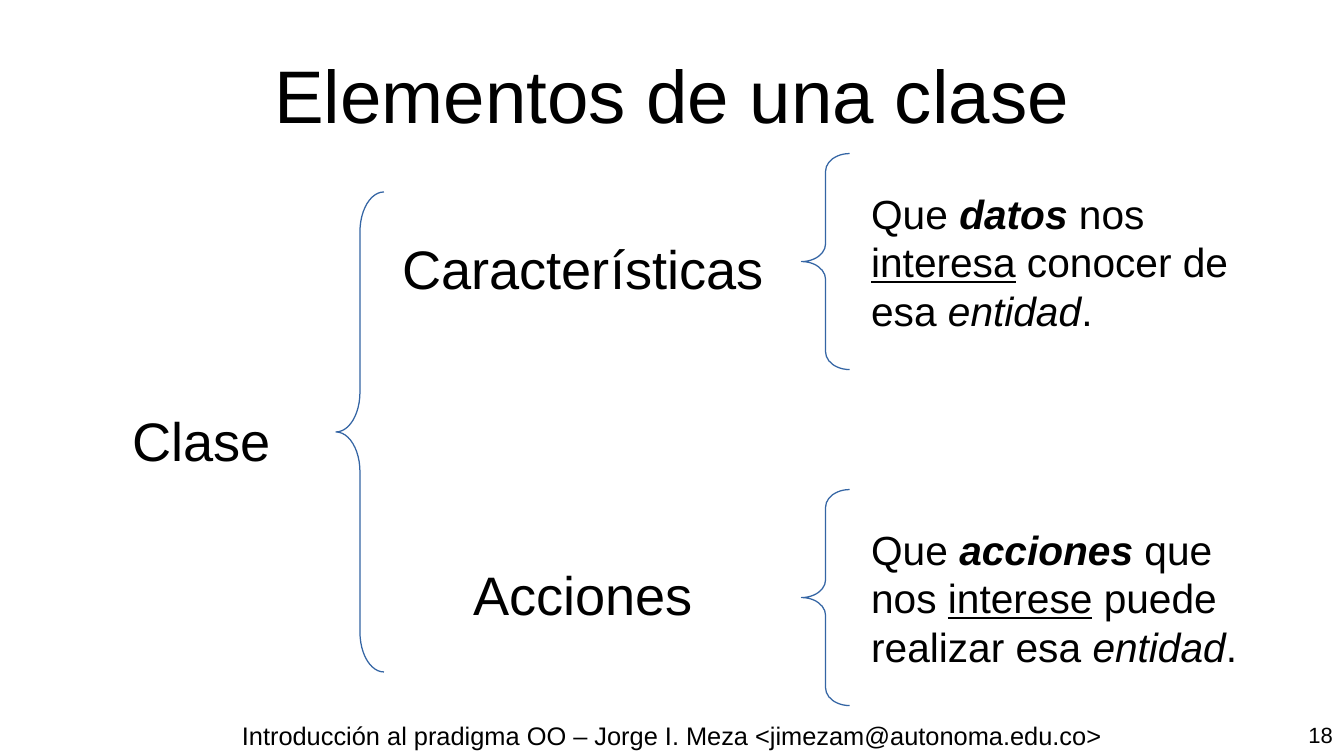
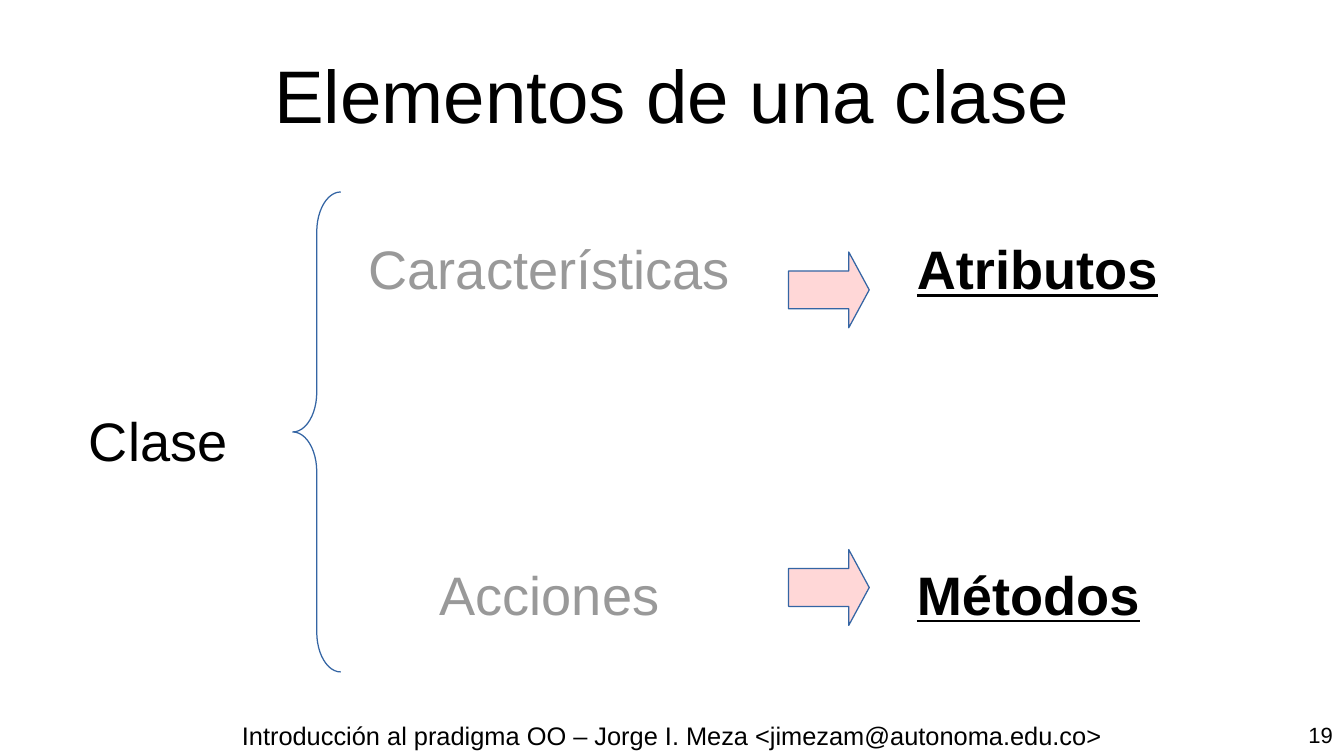
import pptx
import pptx.util
import pptx.dml.color
import pptx.enum.shapes
import pptx.enum.text

Cm = pptx.util.Cm
Pt = pptx.util.Pt
ALIGN = pptx.enum.text.PP_ALIGN
ANCHOR = pptx.enum.text.MSO_ANCHOR
SHAPE = pptx.enum.shapes.MSO_SHAPE

BLACK = pptx.dml.color.RGBColor(0x00, 0x00, 0x00)
GRAY = pptx.dml.color.RGBColor(0x99, 0x99, 0x99)
BLUE = pptx.dml.color.RGBColor(0x34, 0x65, 0xA4)
PINK = pptx.dml.color.RGBColor(0xFF, 0xD7, 0xD7)

FONT = "Arial"
TITLE = "Elementos de una clase"
FOOTER = "Introducción al pradigma OO – Jorge I. Meza <jimezam@autonoma.edu.co>"
LABELS = [[("Características", "")], [("Acciones", "")]]
BRACE_W = 1
ROW_GAP = 154


def write(sp, paras, size, color=BLACK, align=ALIGN.CENTER, middle=True, gap=0):
    tf = sp.text_frame
    tf.word_wrap = True
    tf.auto_size = pptx.enum.text.MSO_AUTO_SIZE.NONE
    if middle:
        tf.vertical_anchor = ANCHOR.MIDDLE
        tf.margin_left = tf.margin_right = tf.margin_top = tf.margin_bottom = 0
    for i, runs in enumerate(paras):
        p = tf.paragraphs[0] if i == 0 else tf.add_paragraph()
        p.alignment = align
        p.space_before = Pt(gap if i else 0)
        p.font.name = FONT
        p.font.size = Pt(size)
        p.font.color.rgb = color
        for text, style in runs:
            r = p.add_run()
            r.text = text
            if "b" in style:
                r.font.bold = True
            if "i" in style:
                r.font.italic = True
            if "u" in style:
                r.font.underline = True


def outline(s, kind, left, top, width, height, adjustments):
    sp = s.shapes.add_shape(kind, Cm(left), Cm(top), Cm(width), Cm(height))
    sp.shadow.inherit = False
    sp.line.color.rgb = BLUE
    sp.line.width = Pt(0)
    sp.fill.background()
    for i, value in enumerate(adjustments):
        sp.adjustments[i] = value
    return sp


prs = pptx.Presentation()
prs.slide_width = Cm(28)
prs.slide_height = Cm(15.75)

slides = []
for number, class_x, brace_x, label_x, label_color in [
    (18, 0.9, 7, 7.8, BLACK),
    (19, 0, 6.1, 7.1, GRAY),
]:
    s = prs.slides.add_slide(prs.slide_layouts[5])
    title = s.shapes.title
    title.left, title.top, title.width, title.height = Cm(1.4), Cm(0.63), Cm(25.2), Cm(2.64)
    write(title, [[(TITLE, "")]], 44)

    sp = s.shapes.add_textbox(Cm(2.75), Cm(14.88), Cm(22.5), Cm(0.97))
    write(sp, [[(FOOTER, "")]], 15, middle=False)
    sp = s.shapes.add_textbox(Cm(25.42), Cm(14.9), Cm(2.6), Cm(0.93))
    write(sp, [[(str(number), "")]], 13, align=ALIGN.RIGHT, middle=False)

    sp = s.shapes.add_textbox(Cm(class_x), Cm(3.58), Cm(6.6), Cm(11.18))
    write(sp, [[("Clase", "")]], 32)
    sp = s.shapes.add_textbox(Cm(label_x), Cm(3.38), Cm(8.7), Cm(11.18))
    write(sp, LABELS, 32, label_color, gap=ROW_GAP)
    outline(s, SHAPE.LEFT_BRACE, brace_x, 4, BRACE_W, 10, (0.83, 0.5))
    slides.append(s)

descriptions, names = slides

for top, runs in [
    (3.2, [("Que ", ""), ("datos", "bi"), (" nos ", ""), ("interesa", "u"),
           (" conocer de esa ", ""), ("entidad", "i"), (".", "")]),
    (10.2, [("Que ", ""), ("acciones", "bi"), (" que nos ", ""), ("interese", "u"),
            (" puede realizar esa ", ""), ("entidad", "i"), (".", "")]),
]:
    outline(descriptions, SHAPE.LEFT_BRACE, 16.7, top, BRACE_W, 4.5, (0.37, 0.5))
    sp = descriptions.shapes.add_textbox(Cm(17.9), Cm(top + 0.6), Cm(8.6), Cm(3.07))
    write(sp, [runs], 24, align=ALIGN.LEFT, middle=False)

for top in (5.25, 11.45):
    sp = outline(names, SHAPE.RIGHT_ARROW, 16.43, top, 1.68, 1.58, (0.5, 0.27))
    sp.fill.solid()
    sp.fill.fore_color.rgb = PINK

sp = names.shapes.add_textbox(Cm(19.1), Cm(3.38), Cm(8.7), Cm(11.18))
write(sp, [[("Atributos", "bu")], [("Métodos", "bu")]], 32, align=ALIGN.LEFT, gap=ROW_GAP)

prs.save("out.pptx")
